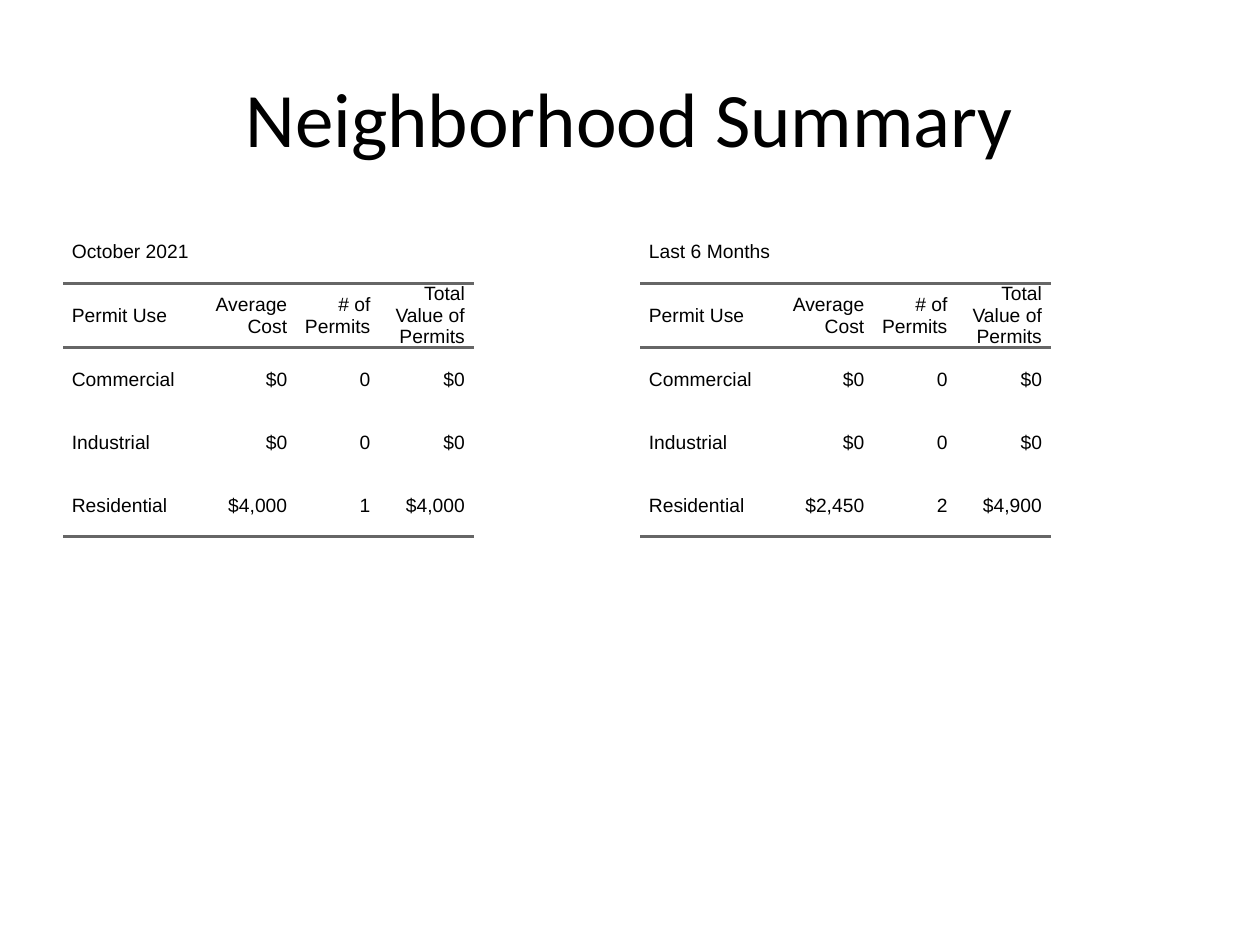
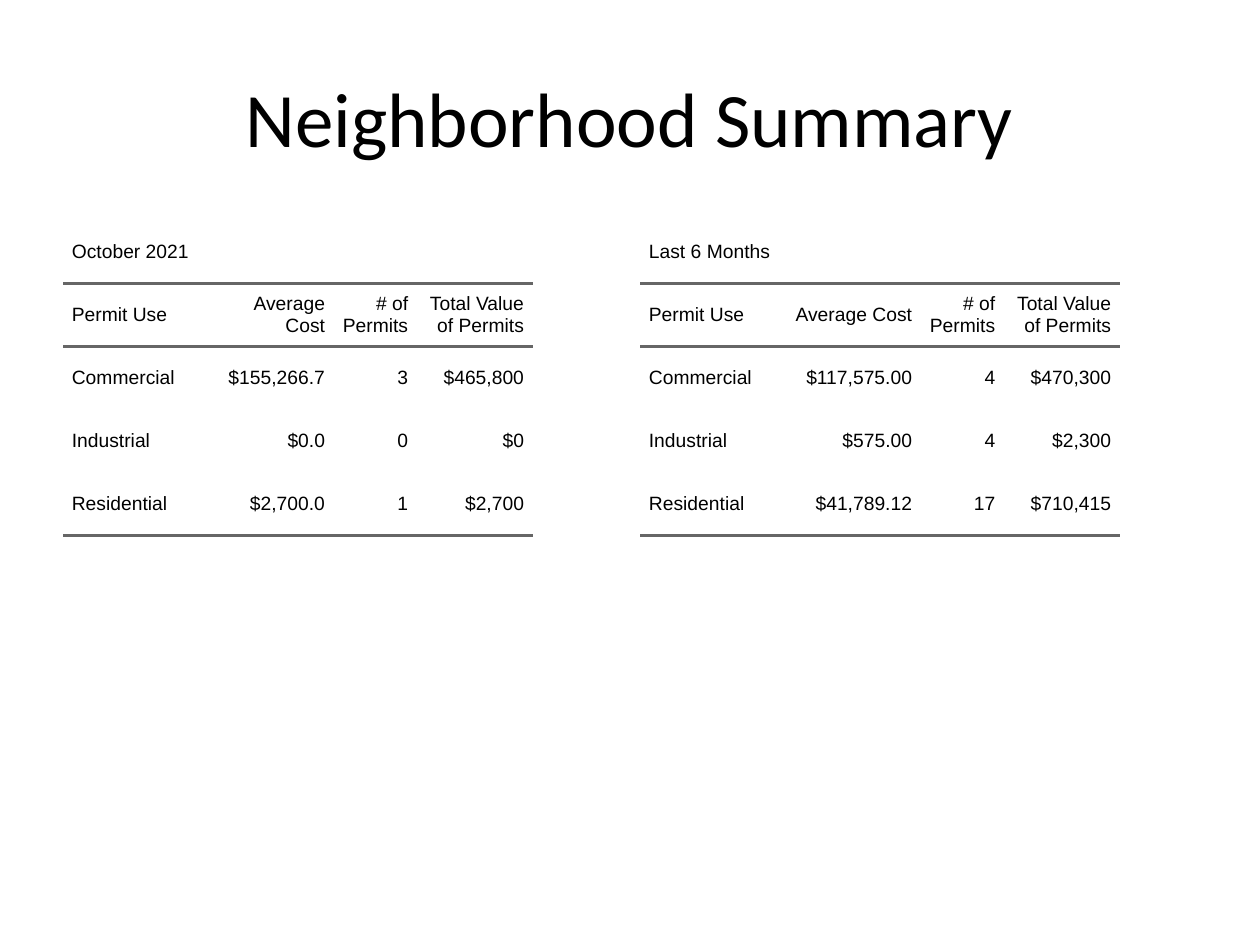
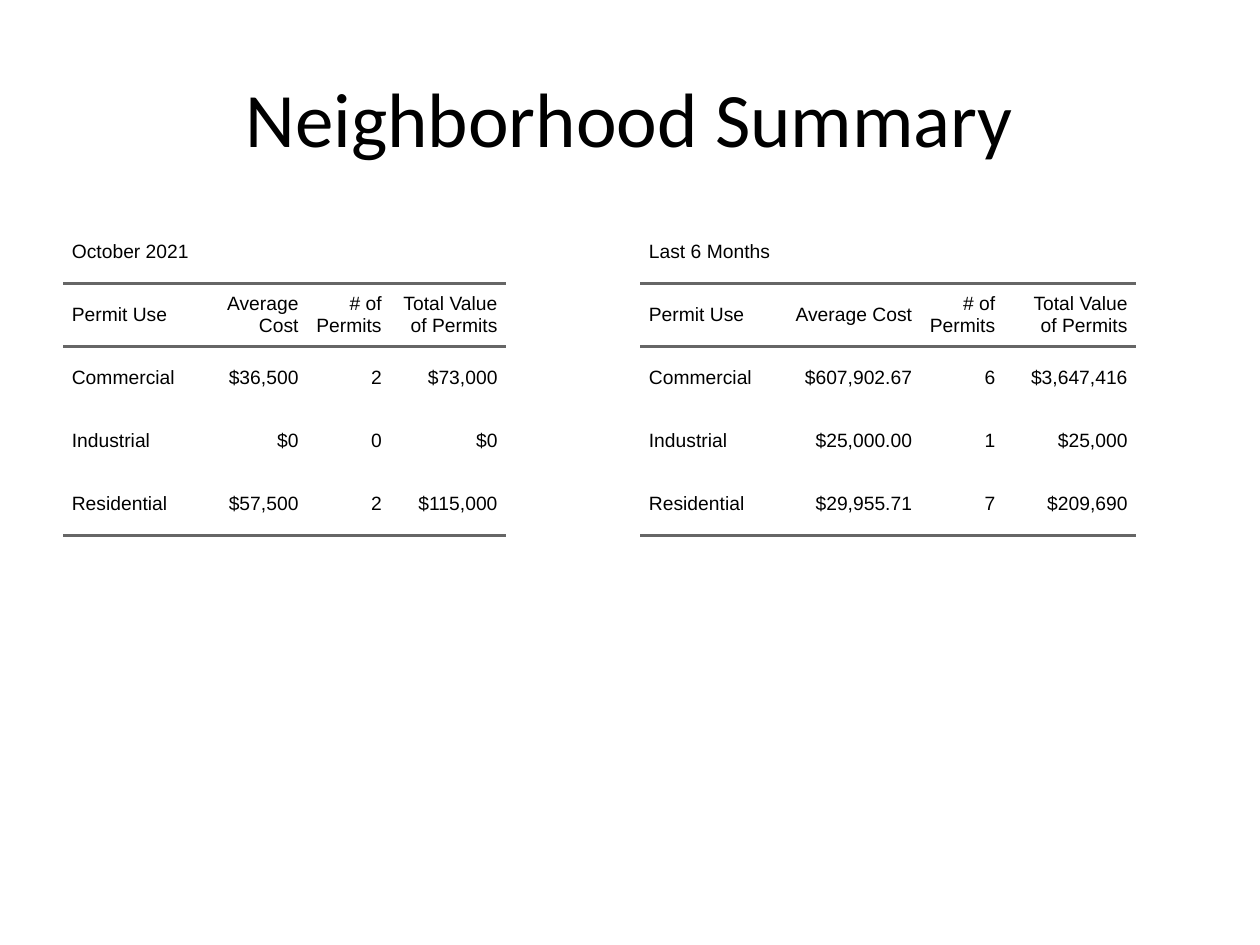
import dataclasses

import lxml.etree
import pptx
import pptx.dml.color
import pptx.enum.text
import pptx.oxml.ns
import pptx.util

Inches = pptx.util.Inches
Pt = pptx.util.Pt
Align = pptx.enum.text.PP_ALIGN
Middle = pptx.enum.text.MSO_ANCHOR.MIDDLE
qn = pptx.oxml.ns.qn

COLORS = {"text": "000000", "rule": "666666"}
TITLE = "Neighborhood Summary"
HEADS = ("Permit Use", "Average Cost", "# of Permits", "Total Value of Permits")
USES = ("Commercial", "Industrial", "Residential")
LEFTS = (0.5, 5.08)
TOP = 1.75
ROW = 0.5
PAD = 0.07
PLAIN = "{2D5ABB26-0587-4C30-8999-92F81FD0307C}"  # No Style, No Grid


@dataclasses.dataclass
class Grid:
    """One period: column widths, then cost, count and total for each use."""
    period: str
    widths: tuple[float, ...]
    values: tuple[tuple[str, str, str], ...]


NOW, HALF = "October 2021", "Last 6 Months"
PAGES = (
    (
        Grid(NOW, (1.1, 0.75, 0.66, 0.75),
             (("$0", "0", "$0"), ("$0", "0", "$0"), ("$4,000", "1", "$4,000"))),
        Grid(HALF, (1.1, 0.75, 0.66, 0.75),
             (("$0", "0", "$0"), ("$0", "0", "$0"), ("$2,450", "2", "$4,900"))),
    ),
    (
        Grid(NOW, (1.1, 1.05, 0.66, 0.92),
             (("$155,266.7", "3", "$465,800"), ("$0.0", "0", "$0"),
              ("$2,700.0", "1", "$2,700"))),
        Grid(HALF, (1.1, 1.13, 0.66, 0.92),
             (("$117,575.00", "4", "$470,300"), ("$575.00", "4", "$2,300"),
              ("$41,789.12", "17", "$710,415"))),
    ),
    (
        Grid(NOW, (1.1, 0.84, 0.66, 0.92),
             (("$36,500", "2", "$73,000"), ("$0", "0", "$0"),
              ("$57,500", "2", "$115,000"))),
        Grid(HALF, (1.1, 1.13, 0.66, 1.05),
             (("$607,902.67", "6", "$3,647,416"), ("$25,000.00", "1", "$25,000"),
              ("$29,955.71", "7", "$209,690"))),
    ),
)


def style(para, align, font: str, size: float) -> None:
    para.alignment = align
    for run in para.runs:
        run.font.name = font
        run.font.size = Pt(size)
        run.font.color.rgb = pptx.dml.color.RGBColor.from_string(COLORS["text"])


def add_title(slide) -> None:
    box = slide.shapes.add_textbox(Inches(0.5), Inches(0.3), Inches(9), Inches(1.25))
    frame = box.text_frame
    frame.word_wrap = True
    frame.vertical_anchor = Middle
    frame.text = TITLE
    style(frame.paragraphs[0], Align.CENTER, "Calibri", 44)


def add_rule(cell, side: str) -> None:
    """Draw a border on the top (lnT) or bottom (lnB) of a cell."""
    props = cell._tc.get_or_add_tcPr()
    line = lxml.etree.SubElement(props, qn(f"a:{side}"), w=str(Pt(2)))
    fill = lxml.etree.SubElement(line, qn("a:solidFill"))
    lxml.etree.SubElement(fill, qn("a:srgbClr"), val=COLORS["rule"])


def fill_cell(cell, text: str, align, sides: tuple[str, ...]) -> None:
    cell.margin_left = cell.margin_right = 0
    cell.margin_top = cell.margin_bottom = 0
    cell.vertical_anchor = Middle
    for side in sides:
        add_rule(cell, side)
    cell.fill.background()
    cell.text_frame.text = text
    para = cell.text_frame.paragraphs[0]
    style(para, align, "Arial", 11)
    props = para._p.get_or_add_pPr()
    for edge in ("marL", "marR"):
        props.set(edge, str(Inches(PAD)))
    props.set("indent", "0")


def add_grid(slide, grid: Grid, left: float) -> None:
    rows = [(grid.period, "", "", ""), HEADS]
    rows += [(use, *vals) for use, vals in zip(USES, grid.values)]
    last = len(rows) - 1
    rules = {1: ("lnT", "lnB"), last: ("lnB",)}
    frame = slide.shapes.add_table(
        len(rows), len(HEADS), Inches(left), Inches(TOP),
        Inches(sum(grid.widths)), Inches(ROW * len(rows)))
    table = frame.table
    table.first_row = table.horz_banding = False
    table._tbl.tblPr.find(qn("a:tableStyleId")).text = PLAIN
    for col, width in zip(table.columns, grid.widths):
        col.width = Inches(width)
    for r, row in enumerate(rows):
        for c, text in enumerate(row):
            align = Align.RIGHT if c else Align.LEFT
            fill_cell(table.cell(r, c), text, align, rules.get(r, ()))
    table.cell(0, 0).merge(table.cell(0, len(HEADS) - 1))


def main() -> None:
    deck = pptx.Presentation()
    deck.slide_width, deck.slide_height = Inches(10), Inches(7.5)
    for page in PAGES:
        slide = deck.slides.add_slide(deck.slide_layouts[6])
        for grid, left in zip(page, LEFTS):
            add_grid(slide, grid, left)
        add_title(slide)
    deck.save("out.pptx")


if __name__ == "__main__":
    main()
